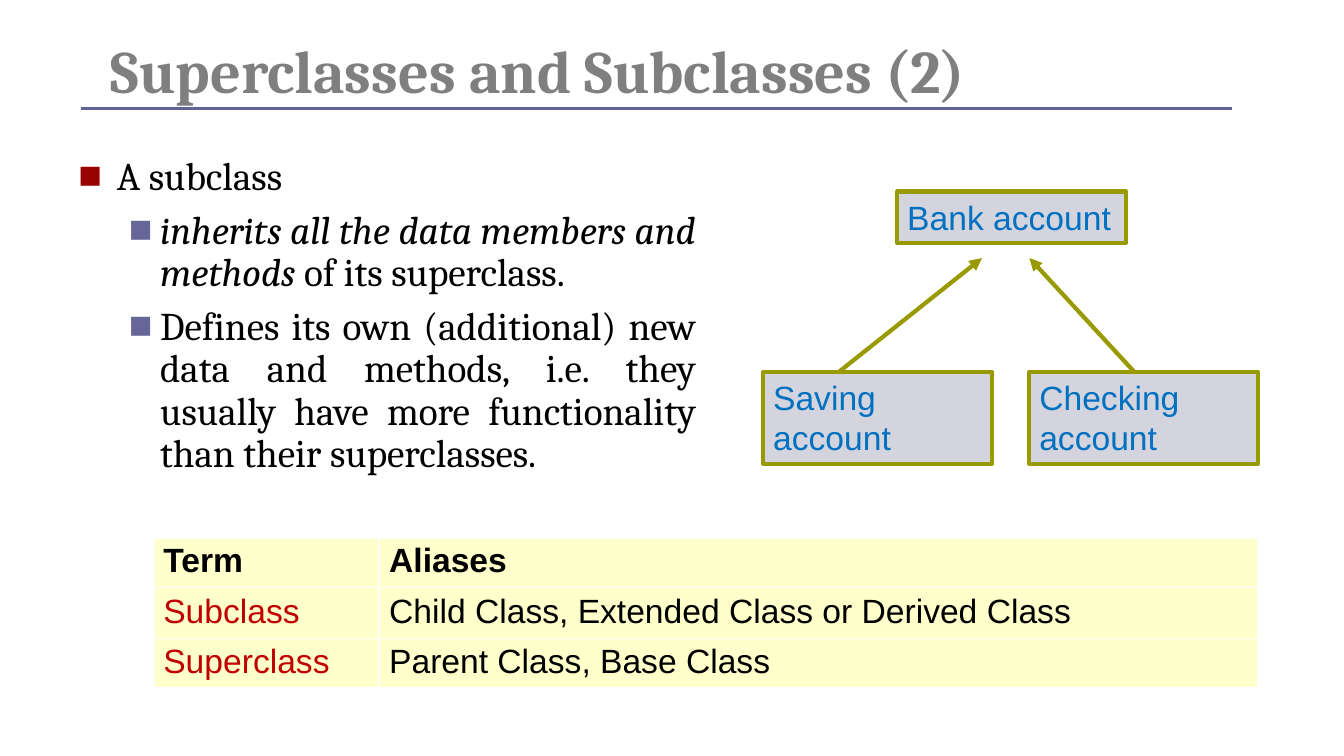
from lxml import etree
from pptx import Presentation
from pptx.dml.color import RGBColor
from pptx.enum.shapes import MSO_CONNECTOR, MSO_SHAPE
from pptx.enum.text import MSO_ANCHOR, PP_ALIGN
from pptx.oxml.ns import qn
from pptx.util import Inches, Pt

STRAIGHT, RECTANGLE = MSO_CONNECTOR.STRAIGHT, MSO_SHAPE.RECTANGLE
LEFT, JUSTIFY = PP_ALIGN.LEFT, PP_ALIGN.JUSTIFY
TOP, BOTTOM = MSO_ANCHOR.TOP, MSO_ANCHOR.BOTTOM

COLORS = {
    "title": "7F7F7F", "rule": "626297", "text": "000000",
    "bullet": "990000", "sub_bullet": "666699",
    "box": "D4D4DF", "olive": "999900", "box_text": "0070C0",
    "cell": "FFFFCC", "border": "FFFFFF", "term": "C00000",
}


def rgb(name):
    return RGBColor.from_string(COLORS[name])


def add_text(paragraph, text, font="Arial", size=24, color="text", bold=False, italic=False):
    run = paragraph.add_run()
    run.text = text
    run.font.name, run.font.size = font, Pt(size)
    run.font.bold, run.font.italic = bold, italic
    run.font.color.rgb = rgb(color)


def add_bullet(paragraph, color, margin, hanging):
    props = paragraph._p.get_or_add_pPr()
    props.set("marL", str(Inches(margin)))
    props.set("indent", str(-Inches(hanging)))
    bullet_color = etree.SubElement(props, qn("a:buClr"))
    etree.SubElement(bullet_color, qn("a:srgbClr"), val=COLORS[color])
    etree.SubElement(props, qn("a:buFont"), typeface="Arial")
    etree.SubElement(props, qn("a:buChar"), char="■")


def add_border(cell, side, width):
    """Draw one cell edge; side is L, R, T or B."""
    edge = etree.SubElement(cell._tc.get_or_add_tcPr(), qn(f"a:ln{side}"), w=str(Pt(width)))
    fill = etree.SubElement(edge, qn("a:solidFill"))
    etree.SubElement(fill, qn("a:srgbClr"), val=COLORS["border"])


class SlideBuilder:
    """Holds the slide and its fonts, and adds styled elements to it."""

    heading_font = "Cambria"
    outline = 3

    def __init__(self, slide):
        self.slide = slide

    def text_frame(self, left, top, width, height, anchor=TOP):
        area = self.slide.shapes.add_textbox(*map(Inches, (left, top, width, height)))
        frame = area.text_frame
        frame.word_wrap, frame.vertical_anchor = True, anchor
        return frame

    def title(self, text, *place):
        paragraph = self.text_frame(*place, anchor=BOTTOM).paragraphs[0]
        paragraph.line_spacing = 0.8
        add_text(paragraph, text, font=self.heading_font, size=43, color="title", bold=True)

    def bullets(self, items, *place):
        """Each item is (level, [(text, italic), ...])."""
        frame = self.text_frame(*place)
        for index, (level, pieces) in enumerate(items):
            paragraph = frame.add_paragraph() if index else frame.paragraphs[0]
            paragraph.alignment, paragraph.line_spacing = JUSTIFY, 0.9
            paragraph.level = level
            if index:
                paragraph.space_before = Pt(8.4)
            if level:
                add_bullet(paragraph, "sub_bullet", 0.81, 0.31)
            else:
                add_bullet(paragraph, "bullet", 0.38, 0.38)
            for text, italic in pieces:
                add_text(paragraph, text, font=self.heading_font, size=28, italic=italic)

    def class_box(self, text, left, top, height):
        box = self.slide.shapes.add_shape(
            RECTANGLE, *map(Inches, (left, top, 2.27, height)))
        box.shadow.inherit = False
        box.fill.solid()
        box.fill.fore_color.rgb = rgb("box")
        box.line.color.rgb, box.line.width = rgb("olive"), Pt(self.outline)
        frame = box.text_frame
        frame.word_wrap, frame.vertical_anchor = True, TOP
        frame.paragraphs[0].alignment = LEFT
        add_text(frame.paragraphs[0], text, color="box_text")

    def line(self, start, end, color, width, arrow=False):
        connector = self.slide.shapes.add_connector(
            STRAIGHT, *map(Inches, (*start, *end)))
        connector.line.color.rgb, connector.line.width = rgb(color), Pt(width)
        if arrow:
            etree.SubElement(connector.line._get_or_add_ln(), qn("a:tailEnd"), type="triangle")
        etree.SubElement(connector._element.spPr, qn("a:effectLst"))

    def table(self, rows, left, top, column_widths, row_height):
        last_row, last_column = len(rows) - 1, len(column_widths) - 1
        table = self.slide.shapes.add_table(
            len(rows), len(column_widths), Inches(left), Inches(top),
            Inches(sum(column_widths)), Inches(row_height * len(rows))).table
        for column, width in zip(table.columns, column_widths):
            column.width = Inches(width)
        for r, row in enumerate(rows):
            for c, text in enumerate(row):
                cell = table.cell(r, c)
                outer = {"L": c == 0, "R": c == last_column, "T": r == 0, "B": r == last_row}
                for side, is_outer in outer.items():
                    add_border(cell, side, 2.25 if is_outer else 1)
                cell.fill.solid()
                cell.fill.fore_color.rgb = rgb("cell")
                add_text(cell.text_frame.paragraphs[0], text, bold=r == 0,
                         color="term" if r and c == 0 else "text")


def main():
    deck = Presentation()
    deck.slide_width, deck.slide_height = Inches(13.33), Inches(7.5)
    page = SlideBuilder(deck.slides.add_slide(deck.slide_layouts[6]))

    page.title("Superclasses and Subclasses (2)", 1, 0.17, 10.17, 0.92)
    page.bullets([
        (0, [("A subclass", False)]),
        (1, [("inherits all the data members and methods", True),
             (" of its superclass.", False)]),
        (1, [("Defines its own (additional) new data and methods, i.e. they usually "
              "have more functionality than their superclasses.", False)]),
    ], 0.68, 1.5, 6.32, 3.63)
    page.table([
        ("Term", "Aliases"),
        ("Subclass", "Child Class, Extended Class or Derived Class"),
        ("Superclass", "Parent Class, Base Class"),
    ], 1.52, 5.33, (2.24, 8.72), 0.5)

    subclass_top, arrow_top = 3.69, 2.56
    page.class_box("Bank account", 8.9, 1.9, 0.51)
    for start_x, end_x in ((8.32, 9.74), (11.25, 10.21)):
        page.line((start_x, subclass_top), (end_x, arrow_top), "olive", page.outline, arrow=True)
    for name, left in (("Saving account", 7.57), ("Checking account", 10.21)):
        page.class_box(name, left, subclass_top, 0.91)
    page.line((0.8, 1.08), (12.22, 1.08), "rule", 2.25)

    deck.save("out.pptx")


if __name__ == "__main__":
    main()
